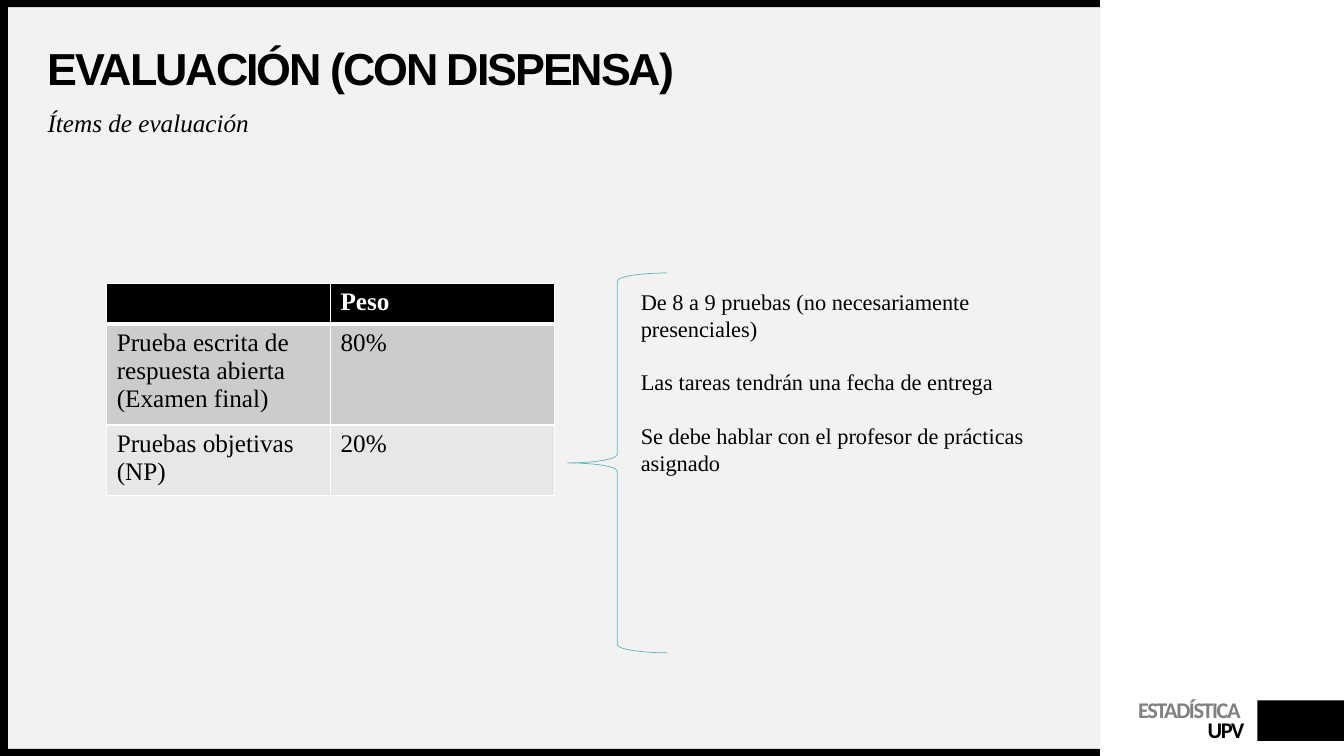
from dataclasses import dataclass

from lxml import etree
from pptx import Presentation
from pptx.dml.color import RGBColor
from pptx.enum.shapes import MSO_SHAPE
from pptx.enum.text import MSO_ANCHOR, PP_ALIGN
from pptx.oxml.ns import qn
from pptx.util import Cm, Pt

RECTANGLE = MSO_SHAPE.RECTANGLE
LEFT_BRACE = MSO_SHAPE.LEFT_BRACE
LEFT = PP_ALIGN.LEFT
RIGHT = PP_ALIGN.RIGHT
TOP = MSO_ANCHOR.TOP
MIDDLE = MSO_ANCHOR.MIDDLE

BLACK = RGBColor(0x00, 0x00, 0x00)
WHITE = RGBColor(0xFF, 0xFF, 0xFF)
GRAY = RGBColor(0x80, 0x80, 0x80)
PANEL_GRAY = RGBColor(0xF2, 0xF2, 0xF2)
DARK_ROW = RGBColor(0xCC, 0xCC, 0xCC)
LIGHT_ROW = RGBColor(0xE7, 0xE7, 0xE7)
TEAL = RGBColor(0x5C, 0xB8, 0xB3)

SERIF = "Times New Roman"
ROW_HEIGHT = 1.03


@dataclass(frozen=True)
class Box:
    left: float
    top: float
    width: float
    height: float

    def lengths(self):
        return Cm(self.left), Cm(self.top), Cm(self.width), Cm(self.height)


@dataclass(frozen=True)
class Block:
    box: Box
    color: RGBColor


@dataclass(frozen=True)
class TableRow:
    item: str
    weight: str
    fill: RGBColor
    header: bool = False


BLOCKS = [
    Block(Box(0.2, 0.18, 27.53, 18.69), PANEL_GRAY),
    Block(Box(31.69, 17.65, 2.18, 1.02), BLACK),
    Block(Box(0, 18.87, 27.72, 0.18), BLACK),
    Block(Box(0, 0, 27.72, 0.18), BLACK),
    Block(Box(0, 0.09, 0.2, 18.96), BLACK),
]
TABLE_ROWS = [
    TableRow("", "Peso", BLACK, header=True),
    TableRow("Prueba escrita de respuesta abierta (Examen final)", "80%", DARK_ROW),
    TableRow("Pruebas objetivas (NP)", "20%", LIGHT_ROW),
]
NOTES = [
    "De 8 a 9 pruebas (no necesariamente presenciales)",
    "Las tareas tendrán una fecha de entrega",
    "Se debe hablar con el profesor de prácticas asignado",
]


def write(paragraph, text: str, *, size: float, font: str = SERIF, color: RGBColor = BLACK,
          bold: bool = False, italic: bool = False, tracking: float = 0,
          align=None, line_spacing=None, space_before: float = 0) -> None:
    run = paragraph.add_run()
    run.text = text
    run.font.name = font
    run.font.size = Pt(size)
    run.font.bold = bold
    run.font.italic = italic
    run.font.color.rgb = color
    if tracking:
        run.font._element.set("spc", str(round(tracking * 100)))
    paragraph.alignment = align
    paragraph.line_spacing = line_spacing
    paragraph.space_before = Pt(space_before)


def place(shape, box: Box) -> None:
    shape.left, shape.top, shape.width, shape.height = box.lengths()


def prepare_frame(shape, anchor=TOP, margin_top: float = 0):
    """Wrap the text and clear the insets."""
    frame = shape.text_frame
    frame.word_wrap = True
    frame.vertical_anchor = anchor
    frame.margin_left = frame.margin_right = frame.margin_bottom = 0
    frame.margin_top = Cm(margin_top)
    return frame


def add_block(slide, block: Block) -> None:
    shape = slide.shapes.add_shape(RECTANGLE, *block.box.lengths())
    shape.shadow.inherit = False
    shape.fill.solid()
    shape.fill.fore_color.rgb = block.color
    shape.line.fill.background()


def add_course_label(slide) -> None:
    label = slide.shapes.add_textbox(*Box(26.74, 17.63, 4.62, 1.12).lengths())
    frame = prepare_frame(label, margin_top=0.1)
    for paragraph, text, color in (
        (frame.paragraphs[0], "ESTADÍSTICA ", GRAY),
        (frame.add_paragraph(), "UPV", BLACK),
    ):
        write(paragraph, text, size=16, font="Calibri", color=color, bold=True,
              tracking=-1, align=RIGHT, line_spacing=Pt(14))


def add_headings(slide) -> None:
    title = slide.shapes.title
    slide.shapes._spTree.append(title._element)  # bring in front of the panel
    place(title, Box(1.2, 1.19, 25.55, 1.19))
    write(prepare_frame(title, MIDDLE).paragraphs[0], "EVALUACIÓN (CON DISPENSA)", size=32,
          font="Arial", bold=True, tracking=-1.5, align=LEFT, line_spacing=0.9)
    subtitle = slide.shapes.add_textbox(*Box(1.2, 2.79, 25.55, 0.99).lengths())
    write(prepare_frame(subtitle).paragraphs[0], "Ítems de evaluación", size=18,
          italic=True, line_spacing=0.9)


def set_borders(cell, top_width: float, bottom_width: float) -> None:
    """Draw white borders, which must come before the fill in the cell."""
    properties = cell._tc.get_or_add_tcPr()
    for side, width in (("lnL", 1), ("lnR", 1), ("lnT", top_width), ("lnB", bottom_width)):
        line = etree.SubElement(properties, qn(f"a:{side}"), w=str(Pt(width)))
        fill = etree.SubElement(line, qn("a:solidFill"))
        etree.SubElement(fill, qn("a:srgbClr"), val=str(WHITE))


def add_weight_table(slide) -> None:
    box = Box(2.69, 7.14, 11.28, ROW_HEIGHT * len(TABLE_ROWS))
    table = slide.shapes.add_table(len(TABLE_ROWS), 2, *box.lengths()).table
    top_width = 1
    for table_row, row in zip(table.rows, TABLE_ROWS):
        table_row.height = Cm(ROW_HEIGHT)
        bottom_width = 3 if row.header else 1
        for cell, text in zip(table_row.cells, (row.item, row.weight)):
            set_borders(cell, top_width, bottom_width)
            cell.fill.solid()
            cell.fill.fore_color.rgb = row.fill
            if text:
                write(cell.text_frame.paragraphs[0], text, size=18, bold=row.header,
                      color=WHITE if row.header else BLACK)
        top_width = bottom_width


def add_notes_with_brace(slide) -> None:
    brace = slide.shapes.add_shape(LEFT_BRACE, *Box(14.3, 6.88, 2.51, 9.57).lengths())
    brace.shadow.inherit = False
    brace.fill.background()
    brace.line.color.rgb = TEAL
    brace.line.width = Pt(0.5)
    frame = slide.shapes.add_textbox(*Box(15.9, 7.14, 11.02, 6.4).lengths()).text_frame
    frame.word_wrap = True
    for index, text in enumerate(NOTES):
        paragraph = frame.add_paragraph() if index else frame.paragraphs[0]
        write(paragraph, text, size=16, space_before=19 if index else 0)


def main() -> None:
    presentation = Presentation()
    presentation.slide_width = Cm(33.87)
    presentation.slide_height = Cm(19.05)
    slide = presentation.slides.add_slide(presentation.slide_layouts[5])
    for block in BLOCKS:
        add_block(slide, block)
    add_course_label(slide)
    add_headings(slide)
    add_weight_table(slide)
    add_notes_with_brace(slide)
    presentation.save("out.pptx")


if __name__ == "__main__":
    main()
